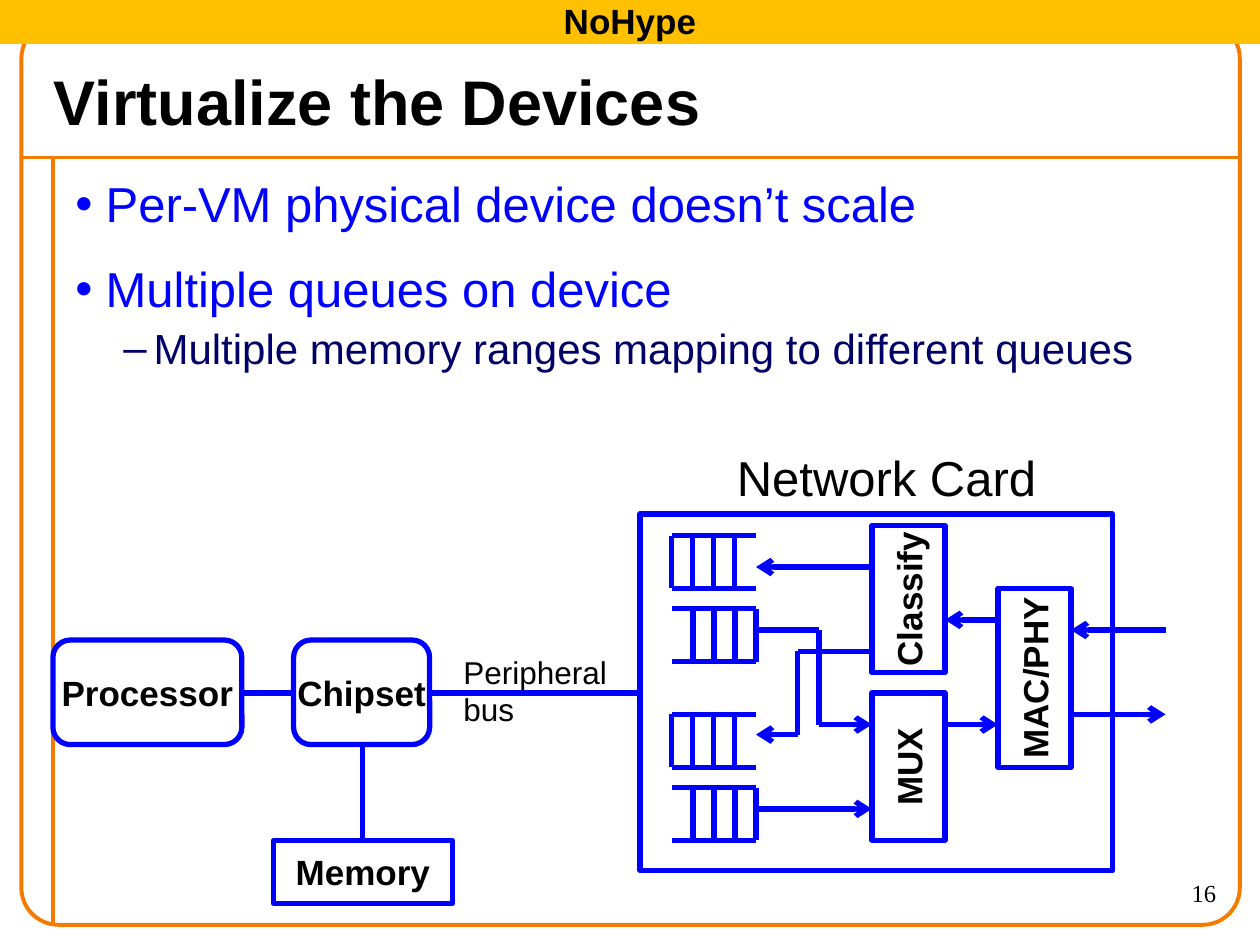
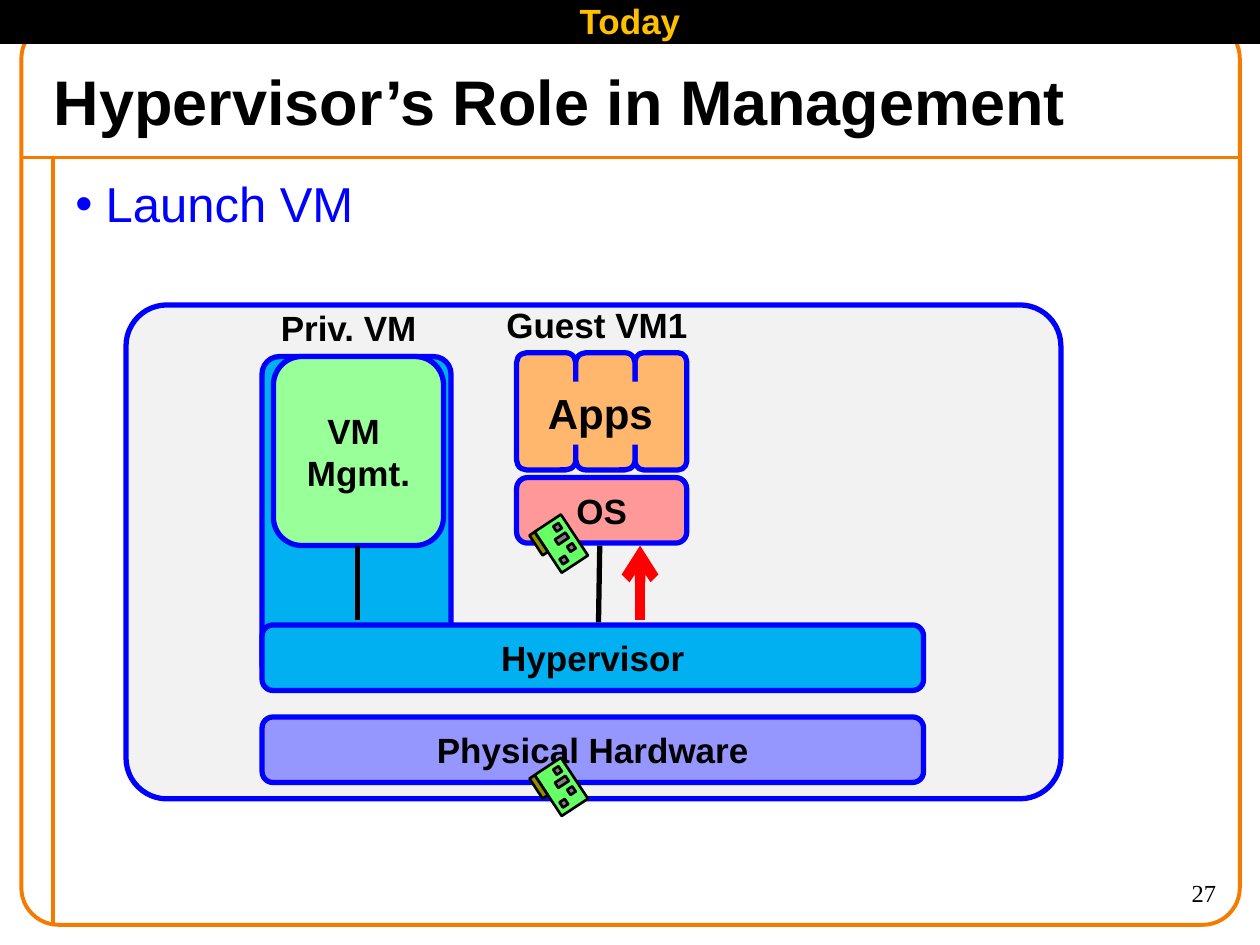
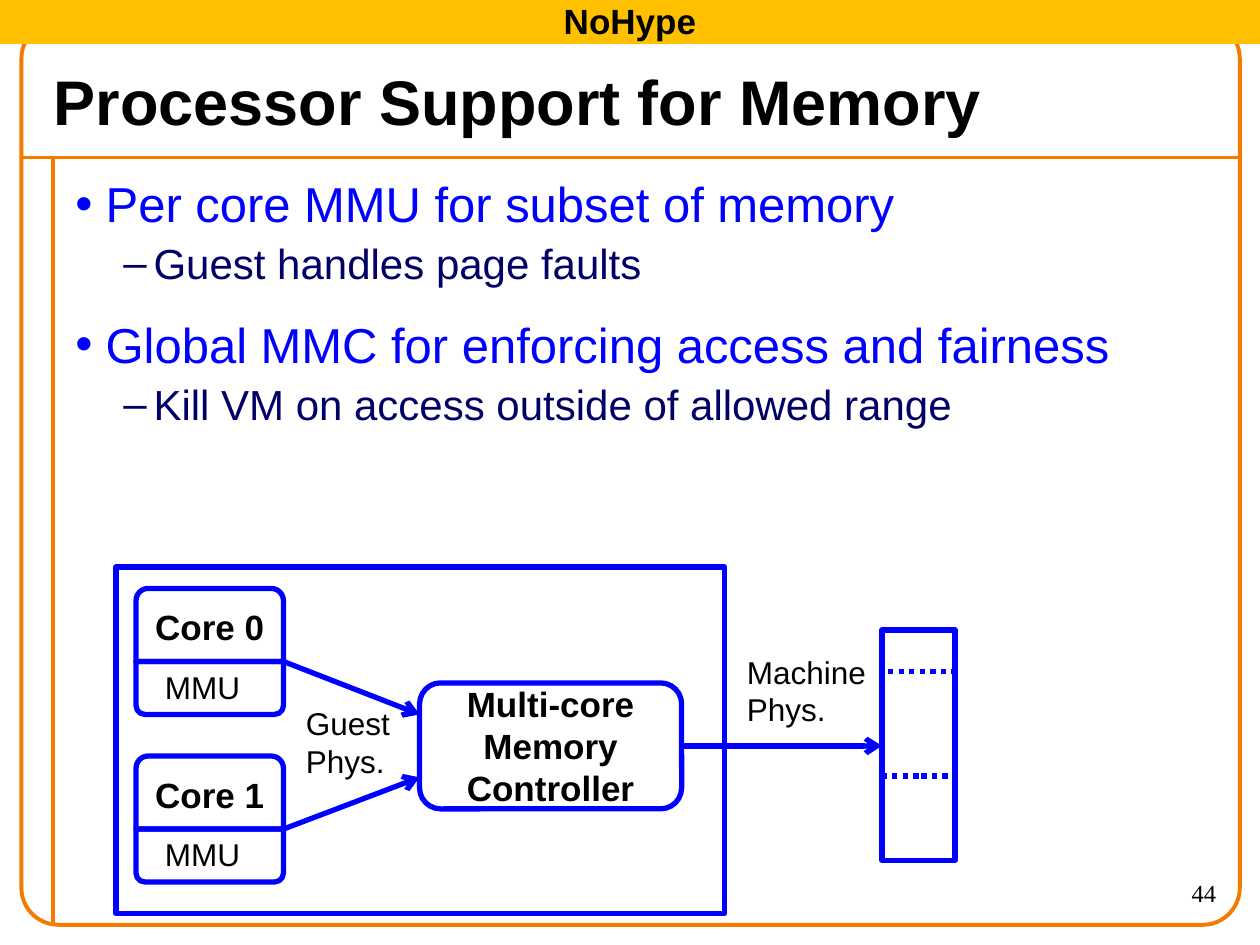
"""Build three slides on virtual machines, devices and memory."""
from lxml import etree
from pptx import Presentation
from pptx import util as u
from pptx.dml.color import RGBColor
from pptx.enum import dml, shapes as sh, text as tx
from pptx.oxml import ns

BLACK = RGBColor(0x00, 0x00, 0x00)
BLUE = RGBColor(0x00, 0x00, 0xFF)
NAVY = RGBColor(0x00, 0x00, 0x66)
ORANGE = RGBColor(0xF4, 0x7A, 0x00)
GOLD = RGBColor(0xFF, 0xC0, 0x00)
RED = RGBColor(0xFF, 0x00, 0x00)
PALE = RGBColor(0xF2, 0xF2, 0xF2)
SKY = RGBColor(0x00, 0xB0, 0xF0)
LILAC = RGBColor(0x96, 0x96, 0xFF)
MINT = RGBColor(0x99, 0xFF, 0x99)
PINK = RGBColor(0xFF, 0x99, 0x99)
PEACH = RGBColor(0xFF, 0xB6, 0x6D)
GREEN = RGBColor(0x66, 0xFF, 0x66)
OLIVE = RGBColor(0x91, 0x8E, 0x00)
GREY = RGBColor(0x80, 0x80, 0x80)

RECT = sh.MSO_SHAPE.RECTANGLE
ROUND = sh.MSO_SHAPE.ROUNDED_RECTANGLE
CAP = sh.MSO_SHAPE.ROUND_2_SAME_RECTANGLE
LEFT, MID, RIGHT = tx.PP_ALIGN.LEFT, tx.PP_ALIGN.CENTER, tx.PP_ALIGN.RIGHT
TOP, CENTER = tx.MSO_ANCHOR.TOP, tx.MSO_ANCHOR.MIDDLE
INCH = 2.54


def cm(*vals):
    return [u.Cm(INCH * val) for val in vals]


def put(item, form):
    for key, val in form.items():
        setattr(item, key, val)


def sub(node, tag, **attrs):
    return etree.SubElement(node, ns.qn(tag), attrs)


class Deck:
    bold = dict(name="Arial", size=u.Pt(20), bold=True)
    head = dict(name="Arial", size=u.Pt(36), bold=True)
    plain = dict(name="Arial", size=u.Pt(18), bold=False)
    big = dict(name="Arial", size=u.Pt(28), bold=False)
    serif = dict(name="Times New Roman", size=u.Pt(14), bold=False)
    levels = [
        dict(mark="\u2022", left=0.24, size=28, gap=15, ink=BLUE),
        dict(mark="\u2013", left=0.62, size=24, gap=3, ink=NAVY),
    ]

    def __init__(self):
        self.prs = Presentation()
        size = cm(10, 7.5)
        put(self.prs, dict(slide_width=size[0], slide_height=size[1]))
        self.slide = None

    def page(self, title, num, band, items, fill=GOLD, ink=BLACK):
        self.slide = self.prs.slides.add_slide(self.prs.slide_layouts[6])
        self.line(0.17, 1.25, 9.83, 1.25, ORANGE, 2.25)
        self.line(0.42, 1.25, 0.42, 7.33, ORANGE, 2.25)
        self.box((0.17, 0.17, 9.67, 7.17), kind=ROUND, edge=ORANGE, wide=2.25, bend=0.041)
        self.label((0.33, 0.42, 8.82, 0.75), title, self.head, anchor=CENTER, wrap=True)
        self.list(items)
        self.label((8.75, 6.92, 1, 0.42), num, self.serif, align=RIGHT, wrap=True)
        self.box((0, 0, 10, 0.33), band, fill=fill, edge=fill, ink=ink)

    def say(self, frame, words, font, ink=BLACK, align=MID, anchor=CENTER, wrap=False):
        put(frame, dict(word_wrap=wrap, vertical_anchor=anchor))
        for pos, word in enumerate(words.split("\n")):
            para = frame.add_paragraph() if pos else frame.paragraphs[0]
            para.alignment = align
            run = para.add_run()
            run.text = word
            put(run.font, font)
            run.font.color.rgb = ink

    def label(self, at, words, font, align=LEFT, anchor=TOP, wrap=False):
        item = self.slide.shapes.add_textbox(*cm(*at))
        self.say(item.text_frame, words, font, align=align, anchor=anchor, wrap=wrap)

    def list(self, items):
        frame = self.slide.shapes.add_textbox(*cm(0.5, 1.33, 9.25, 6)).text_frame
        frame.word_wrap = True
        for pos, (rank, words) in enumerate(items):
            look = self.levels[rank]
            para = frame.add_paragraph() if pos else frame.paragraphs[0]
            put(para, dict(level=rank, space_before=u.Pt(look["gap"] if pos else 3)))
            run = para.add_run()
            run.text = words
            put(run.font, dict(name="Arial", size=u.Pt(look["size"])))
            run.font.color.rgb = look["ink"]
            props = para._p.get_or_add_pPr()
            left, hang = cm(look["left"], -0.24)
            props.set("marL", str(left))
            props.set("indent", str(hang))
            sub(props, "a:buFont", typeface="Arial")
            sub(props, "a:buChar", char=look["mark"])

    def box(self, at, words="", kind=RECT, fill=None, edge=BLUE, wide=3, ink=BLACK,
            bend=None, dash=None, turn=0, flip=False, up=False, group=None):
        home = group or self.slide
        item = home.shapes.add_shape(kind, *cm(*at))
        item.shadow.inherit = False
        item.rotation = turn
        if bend:
            item.adjustments[0] = bend
        if fill is None:
            item.fill.background()
        else:
            item.fill.solid()
            item.fill.fore_color.rgb = fill
        if edge is None:
            item.line.fill.background()
        else:
            item.line.color.rgb = edge
            put(item.line, dict(width=u.Pt(wide), dash_style=dash))
        if flip:
            item.element.spPr.find(ns.qn("a:xfrm")).set("flipV", "1")
        if words:
            self.say(item.text_frame, words, self.bold, ink)
        if up:
            item.element.txBody.find(ns.qn("a:bodyPr")).set("vert", "vert270")
        return item

    def line(self, x1, y1, x2, y2, ink=BLUE, wide=3, tip=False, kind=sh.MSO_CONNECTOR.STRAIGHT):
        item = self.slide.shapes.add_connector(kind, *cm(x1, y1, x2, y2))
        item.line.color.rgb = ink
        item.line.width = u.Pt(wide)
        if tip:
            sub(item.element.spPr.find(ns.qn("a:ln")), "a:tailEnd", type="arrow")
        sub(item.element.spPr, "a:effectLst")

    def arrow(self, *ends, **look):
        self.line(*ends, tip=True, **look)

    def queue(self, top, first):
        for step in range(4):
            x = first + step / 6
            self.line(x, top, x, top + 0.42)
        for y in (top, top + 0.42):
            self.line(5.33, y, 6, y)

    def chip(self, top):
        group = self.slide.shapes.add_group_shape()
        parts = [
            (4.33, 0, 0.25, 0.39, GREEN), (4.25, 0.1, 0.05, 0.19, OLIVE),
            (4.4, 0.04, 0.05, 0.05, GREY), (4.51, 0.2, 0.05, 0.05, GREY),
            (4.41, 0.13, 0.1, 0.05, GREY), (4.45, 0.3, 0.05, 0.05, GREY),
        ]
        for x, y, w, h, fill in parts:
            self.box((x, top + y, w, h), fill=fill, edge=BLACK, wide=1.5,
                     turn=326.6, group=group)

    def core(self, top, name):
        self.box((1.08, top, 1.17, 0.58), name, CAP)
        self.box((1.08, top + 0.58, 1.17, 0.42), kind=CAP, flip=True)
        self.label((1.21, top + 0.58, 0.81, 0.4), "MMU", self.plain)


def devices(deck):
    deck.page("Virtualize the Devices", "16", "NoHype", [
        (0, "Per-VM physical device doesn\u2019t scale"),
        (0, "Multiple queues on device"),
        (1, "Multiple memory ranges mapping to different queues"),
    ])
    deck.box((5.08, 4.08, 3.75, 2.83))
    deck.box((0.42, 5.08, 1.5, 0.83), "Processor", ROUND)
    deck.box((2.33, 5.08, 1.08, 0.83), "Chipset", ROUND)
    deck.box((2.17, 6.67, 1.42, 0.5), "Memory")
    for top in (4.25, 5.67):
        deck.queue(top, 5.33)
        deck.queue(top + 0.58, 5.5)
    deck.box((6.92, 4.17, 0.58, 1.17), "Classify", up=True)
    deck.box((6.92, 5.5, 0.58, 1.17), "MUX", up=True)
    deck.box((7.92, 4.67, 0.58, 1.42), "MAC/PHY", up=True)
    for ends in [
        (6.92, 4.5, 6, 4.5), (6.33, 5.83, 6, 5.83), (6, 6.42, 6.92, 6.42),
        (6.5, 5.75, 6.92, 5.75), (9.25, 5, 8.5, 5), (8.5, 5.67, 9.25, 5.67),
        (7.92, 4.92, 7.5, 4.92), (7.5, 5.75, 7.92, 5.75),
    ]:
        deck.arrow(*ends)
    for ends in [
        (6.33, 5.83, 6.33, 5.17), (6.92, 5.17, 6.33, 5.17),
        (6.5, 5, 6, 5), (6.5, 5.75, 6.5, 5),
        (2.88, 5.92, 2.88, 6.67), (1.92, 5.5, 2.33, 5.5),
    ]:
        deck.line(*ends)
    deck.line(3.42, 5.5, 5.08, 5.5, kind=sh.MSO_CONNECTOR.ELBOW)
    deck.label((5.75, 3.5, 2.61, 0.57), "Network Card", deck.big)
    deck.label((3.58, 5.13, 1.35, 0.71), "Peripheral\nbus", deck.plain)


def launch(deck):
    deck.page("Hypervisor\u2019s Role in Management", "27", "Today",
              [(0, "Launch VM")], BLACK, GOLD)
    deck.box((1, 2.42, 7.42, 3.92), kind=ROUND, fill=PALE, bend=0.083)
    deck.box((2.08, 2.83, 1.5, 2.58), kind=ROUND, fill=SKY, bend=0.092)
    deck.box((2.08, 5.69, 5.25, 0.52), "Physical Hardware", ROUND, LILAC)
    deck.box((2.08, 4.96, 5.25, 0.52), "Hypervisor", ROUND, SKY)
    deck.label((2.13, 2.38, 1.29, 0.44), "Priv. VM", deck.bold)
    deck.box((2.17, 2.83, 1.35, 1.5), "VM \nMgmt.", ROUND, MINT)
    deck.line(2.84, 4.33, 2.84, 4.92, BLACK)
    deck.chip(6.05)
    deck.arrow(5.08, 4.92, 5.08, 4.33, ink=RED, wide=6)
    deck.box((4.1, 3.79, 1.35, 0.52), "OS", ROUND, PINK)
    for x, w in ((4.1, 0.47), (5.04, 0.41), (4.57, 0.47)):
        deck.box((x, 2.8, w, 0.93), kind=ROUND, fill=PEACH)
    apps = deck.box((4.25, 3.03, 1.04, 0.5), fill=PEACH, edge=None)
    deck.say(apps.text_frame, "Apps", dict(deck.bold, size=u.Pt(24)),
             align=LEFT, anchor=TOP, wrap=True)
    deck.label((3.92, 2.36, 1.65, 0.44), "Guest VM1", deck.bold)
    deck.chip(4.12)
    deck.line(4.76, 4.33, 4.75, 4.94, BLACK)


def memory(deck):
    deck.page("Processor Support for Memory", "44", "NoHype", [
        (0, "Per core MMU for subset of memory"),
        (1, "Guest handles page faults"),
        (0, "Global MMC for enforcing access and fairness"),
        (1, "Kill VM on access outside of allowed range"),
    ])
    deck.box((3.33, 5.42, 2.08, 1), "Multi-core\nMemory\nController", ROUND)
    deck.box((0.92, 4.5, 4.83, 2.75))
    deck.box((7, 5.33, 0.58, 0.83), dash=dml.MSO_LINE.ROUND_DOT)
    deck.box((7, 5, 0.58, 1.83))
    deck.core(6, "Core 1")
    deck.core(4.67, "Core 0")
    deck.arrow(2.25, 5.25, 3.33, 5.67)
    deck.arrow(2.25, 6.58, 3.33, 6.17)
    deck.arrow(5.42, 5.92, 7, 5.92)
    deck.label((2.33, 5.54, 0.88, 0.71), "Guest\nPhys.", deck.plain)
    deck.label((5.83, 5.13, 1.16, 0.71), "Machine\nPhys.", deck.plain)


deck = Deck()
for build in (devices, launch, memory):
    build(deck)
deck.prs.save("out.pptx")
